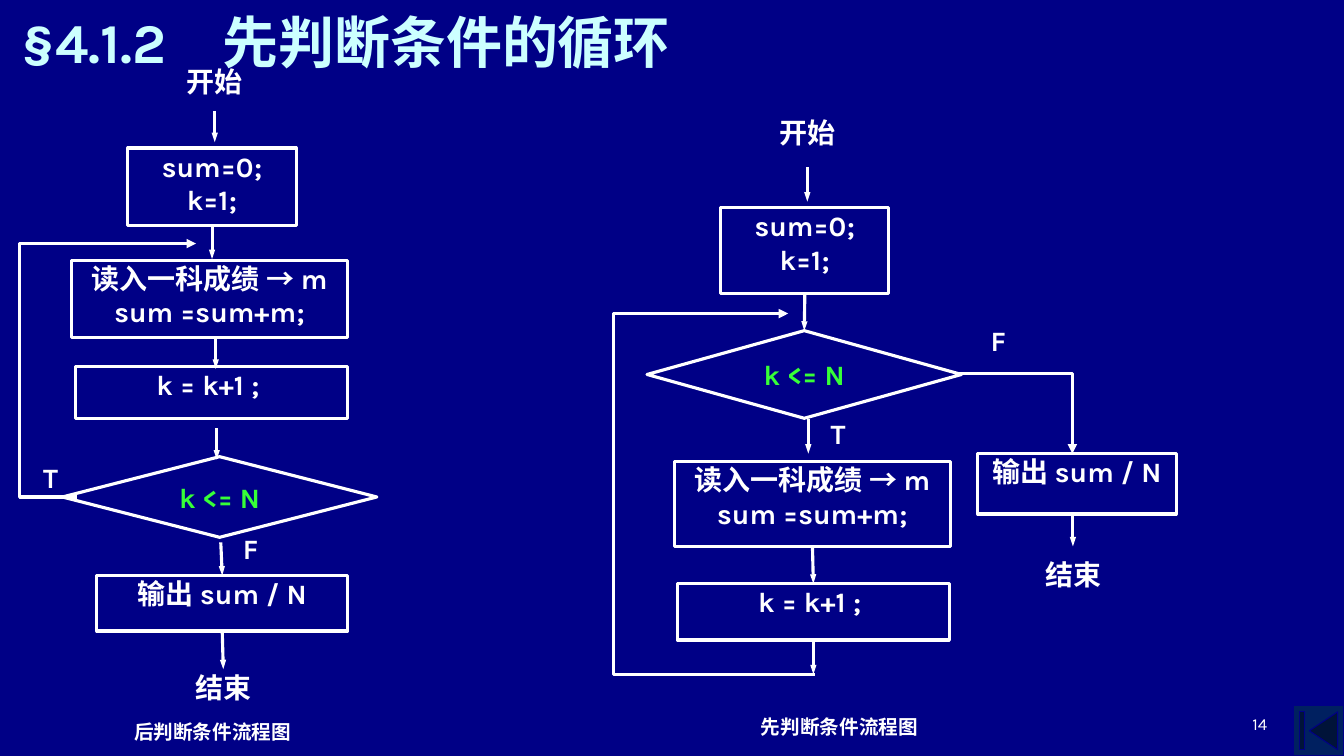
from lxml.etree import SubElement
from pptx import Presentation
from pptx.dml.color import RGBColor
from pptx.enum.shapes import MSO_CONNECTOR, MSO_SHAPE
from pptx.enum.text import MSO_ANCHOR, MSO_AUTO_SIZE, PP_ALIGN
from pptx.oxml.ns import qn
from pptx.util import Pt

WHITE, NAVY = "FFFFFF", "000086"
BOX, GEM = MSO_SHAPE.RECTANGLE, MSO_SHAPE.DIAMOND
TOP, BOTTOM = 0, 2
INIT = "sum=0;\nk=1;"
READ = "读入一科成绩 → m\nsum =sum+m;"
STEP = "k = k+1 ; "
TEST = "k <= N"
SHOW = "输出 sum / N"


def tint(fmt, color):
    """Give a fill a solid colour from a hex string."""
    fmt.solid()
    fmt.fore_color.rgb = RGBColor.from_string(color)


def assign(item, values):
    for name, value in values.items():
        setattr(item, name, value)


class Chart:
    """Draws the parts of a flow chart on one slide, in points."""

    font = {"size": Pt(20), "name": "Karla", "bold": True}
    sides = ("margin_left", "margin_top", "margin_right", "margin_bottom")

    def __init__(self, slide):
        self.slide = slide
        self.shapes = slide.shapes

    def style(self, par, color=WHITE, align=PP_ALIGN.CENTER, **font):
        par.alignment = align
        for run in par.runs:
            assign(run.font, {**self.font, **font})
            tint(run.font.fill, color)

    def letter(self, shape, text, pad=0.7, anchor=MSO_ANCHOR.TOP, **look):
        """Put styled text into a shape."""
        frame = shape.text_frame
        frame.text = text
        assign(frame, {"word_wrap": True, "vertical_anchor": anchor})
        if pad is not None:
            assign(frame, dict.fromkeys(self.sides, Pt(pad)))
        for par in frame.paragraphs:
            self.style(par, **look)

    def title(self, parts, area, color):
        """Fill the title with (text, font name) parts."""
        shape = self.shapes.title
        assign(shape, dict(zip(("left", "top", "width", "height"), map(Pt, area))))
        frame = shape.text_frame
        assign(frame, {"word_wrap": False, "auto_size": MSO_AUTO_SIZE.NONE,
                       "vertical_anchor": MSO_ANCHOR.MIDDLE})
        par = frame.paragraphs[0]
        for text, _ in parts:
            par.add_run().text = text
        self.style(par, color, size=Pt(40))
        for run, (_, name) in zip(par.runs, parts):
            run.font.name = name

    def label(self, text, area, **look):
        shape = self.shapes.add_textbox(*map(Pt, area))
        self.letter(shape, text, **look)
        return shape

    def edge(self, shape, arrow=None):
        """Give a white edge, with an arrowhead of the given width."""
        tint(shape.line.fill, WHITE)
        shape.line.width = Pt(2.25)
        if arrow:
            line = shape._element.spPr.find(qn("a:ln"))
            SubElement(line, qn("a:tailEnd"), type="triangle", w=arrow, len="med")

    def node(self, kind, text, area, **look):
        shape = self.shapes.add_shape(kind, *map(Pt, area))
        shape.shadow.inherit = False
        shape.fill.background()
        self.edge(shape)
        self.letter(shape, text, **look)
        return shape

    def test(self, area):
        return self.node(GEM, TEST, area, anchor=MSO_ANCHOR.MIDDLE, color="37FF37")

    def drop(self, x, top, end, start=None, stop=None):
        """Draw a downward arrow, joined to the shapes given."""
        wire = self.shapes.add_connector(
            MSO_CONNECTOR.STRAIGHT, Pt(x), Pt(top), Pt(x), Pt(end))
        if start is not None:
            wire.begin_connect(start, BOTTOM)
        if stop is not None:
            wire.end_connect(stop, TOP)
        self.edge(wire, "sm")
        SubElement(wire._element.spPr, qn("a:effectLst"))

    def bend(self, first, *rest):
        """Draw an open outline with an arrowhead at its last point."""
        pen = self.shapes.build_freeform(*first, scale=Pt(1))
        pen.add_line_segments(rest, close=False)
        shape = pen.convert_to_shape()
        shape.shadow.inherit = False
        shape.fill.background()
        self.edge(shape, "med")

    def button(self, area):
        shape = self.shapes.add_shape(
            MSO_SHAPE.ACTION_BUTTON_BEGINNING, *map(Pt, area))
        shape.shadow.inherit = False
        tint(shape.fill, "002060")
        tint(shape.line.fill, NAVY)
        shape.line.width = Pt(0.75)


def draw_left(chart):
    """Draw the loop that tests its condition last."""
    chart.label("开始", (104.4, 45.4, 98, 31.7))
    init = chart.node(BOX, INIT, (91.4, 105.8, 120.2, 55.4))
    chart.node(BOX, READ, (51.1, 185.8, 197.3, 55.4))
    chart.node(BOX, STEP, (54, 262, 194.4, 36.7))
    chart.test((44.6, 326.2, 224.6, 57.6))
    show = chart.node(BOX, SHOW, (69.1, 411.1, 179.3, 39.6))
    stop = chart.label("结束", (82.8, 478, 153.4, 28.8))
    chart.label("F", (172.8, 378.7, 33, 45.4), align=PP_ALIGN.JUSTIFY)
    chart.label("T", (30.2, 328.3, 33, 40.3), align=PP_ALIGN.JUSTIFY)
    chart.drop(153.4, 79.2, 101.5)
    chart.drop(151.5, 161.2, 185, start=init)
    chart.drop(154.1, 240.5, 263.5)
    chart.drop(154.8, 306, 328.3)
    chart.drop(157.7, 387.4, 409.7, stop=show)
    chart.drop(159.1, 453.6, 475.9, start=show, stop=stop)
    chart.bend((54.7, 355), (13.7, 355), (13.7, 174.2), (139.7, 174.2))


def draw_right(chart):
    """Draw the loop that tests its condition first."""
    chart.label("开始", (527.8, 82, 98, 34.6))
    init = chart.node(BOX, INIT, (514.8, 148.3, 120.2, 61.2))
    test = chart.test((462.2, 236.2, 224.6, 62.6))
    read = chart.node(BOX, READ, (481.7, 329.8, 197.3, 60.5))
    step = chart.node(BOX, STEP, (483.8, 416.9, 194.4, 40.3))
    chart.node(BOX, SHOW, (698.4, 324, 141.8, 43.2))
    chart.label("结束", (689.8, 397.4, 153.4, 31.7))
    chart.label("F", (707, 230.4, 33, 49.7), align=PP_ALIGN.JUSTIFY)
    chart.label("T", (592.6, 296.6, 33, 44.6), align=PP_ALIGN.JUSTIFY)
    chart.drop(576.7, 119.5, 144)
    chart.drop(574.6, 211.7, 236.2, start=init, stop=test)
    chart.drop(577.4, 299.5, 324)
    chart.drop(578.2, 390.2, 414.7, start=read, stop=step)
    chart.drop(581, 457.2, 481.7, start=step)
    chart.drop(766.4, 365.8, 390.2)
    chart.bend((582.5, 481.7), (437.8, 481.7), (437.8, 223.9), (563, 223.9))
    chart.bend((684, 267.1), (766.1, 267.1), (766.1, 324))


def main():
    deck = Presentation()
    assign(deck, {"slide_width": Pt(960), "slide_height": Pt(540)})
    slide = deck.slides.add_slide(deck.slide_layouts[5])
    tint(slide.background.fill, NAVY)
    chart = Chart(slide)
    chart.button((924, 504, 36, 36))
    chart.label("14", (688.3, 491.8, 224, 36), pad=None, anchor=MSO_ANCHOR.BOTTOM,
                align=PP_ALIGN.RIGHT, size=Pt(12), bold=False)
    chart.title([("§4.1.2　先", "Karla"), ("判断条件的循环", "Arial")],
                (0, 5, 494, 48.2), "CCFFFF")
    draw_left(chart)
    draw_right(chart)
    for text, left, top in (("后判断条件流程图", 39.6, 510.5),
                            ("先判断条件流程图", 487.4, 506.9)):
        chart.label(text, (left, top, 224.6, 23.8), pad=None,
                    size=Pt(14), name="Courier New")
    deck.save("out.pptx")


if __name__ == "__main__":
    main()
